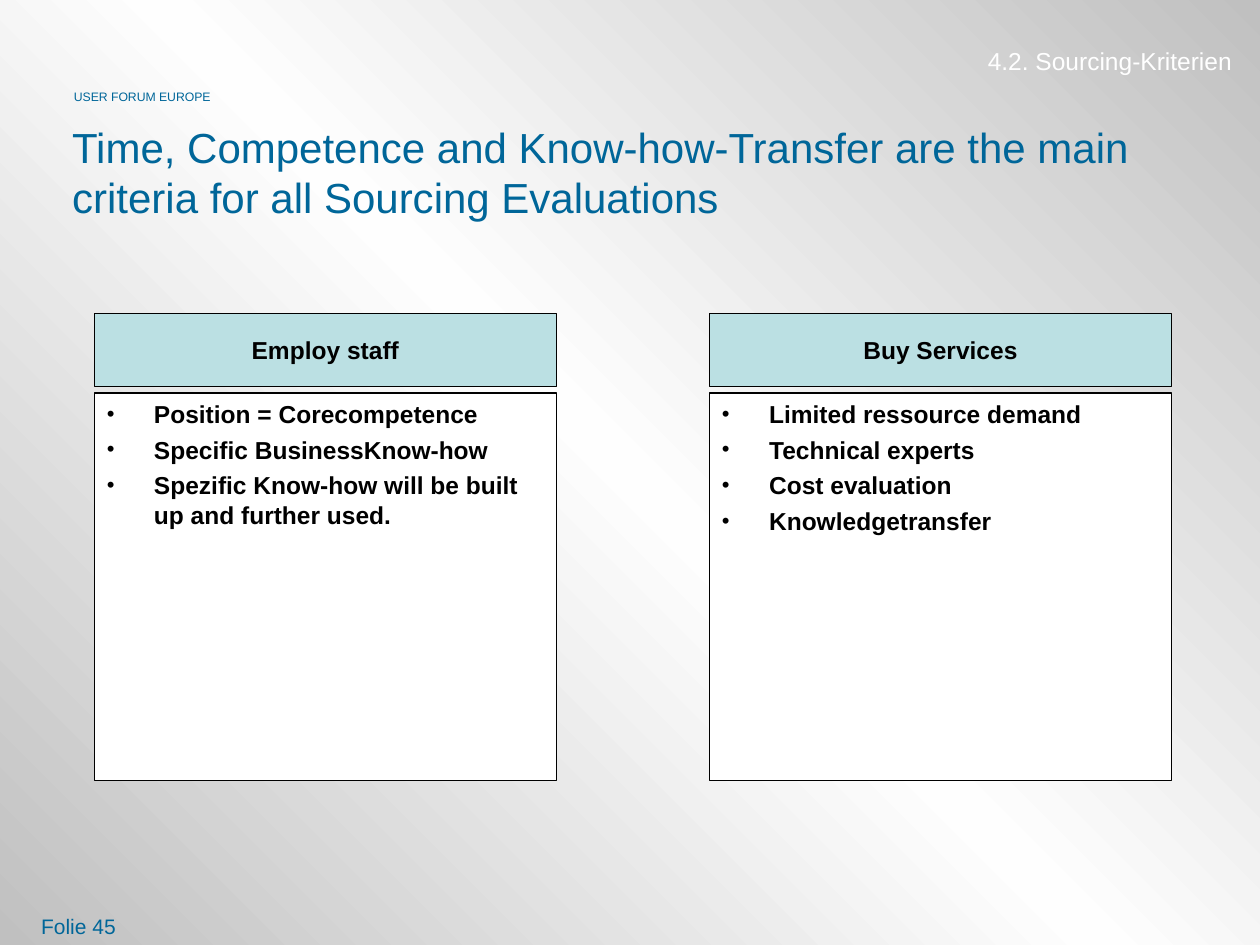
"""Build the slide that compares employing staff with buying services."""
import copy

import pptx
import pptx.dml.color
import pptx.enum.shapes
import pptx.enum.text
import pptx.oxml.ns
import pptx.util
from lxml import etree
from pptx.util import Cm

COLORS = {
    "accent": "006699",
    "heading": "BBE0E3",
    "ink": "000000",
    "paper": "FFFFFF",
    "edge": "C0C0C0",
    "glow": "FEFEFE",
}
ALIGN = pptx.enum.text.PP_ALIGN
ANCHOR = pptx.enum.text.MSO_ANCHOR
COLUMN_LEFT, COLUMN_STEP, COLUMN_WIDTH = 1.9, 12.4, 9.32
COLUMNS = [
    ("Employ staff", [
        "Position = Corecompetence",
        "Specific BusinessKnow-how",
        "Spezific Know-how will be built up and further used.",
    ]),
    ("Buy Services", [
        "Limited ressource demand",
        "Technical experts",
        "Cost evaluation",
        "Knowledgetransfer",
    ]),
]


def rgb(name):
    return pptx.dml.color.RGBColor.from_string(COLORS[name])


def place(shape, left, top, width, height):
    shape.left, shape.top = Cm(left), Cm(top)
    shape.width, shape.height = Cm(width), Cm(height)


def style(paragraph, size, color, align=ALIGN.LEFT, bold=False):
    paragraph.alignment = align
    font = paragraph.font
    font.name, font.size, font.bold = "Arial", pptx.util.Pt(size), bold
    font.color.rgb = rgb(color)


def outline(shape, fill):
    shape.fill.solid()
    shape.fill.fore_color.rgb = rgb(fill)
    shape.line.color.rgb = rgb("ink")
    shape.line.width = pptx.util.Pt(0.75)


def paint_background(slide):
    fill = slide.background.fill
    fill.gradient()
    fill.gradient_angle = 45
    stop_list = slide.element.find(".//" + pptx.oxml.ns.qn("a:gsLst"))
    stop_list.insert(1, copy.deepcopy(stop_list[0]))
    stops = zip(fill.gradient_stops, ("edge", "glow", "edge"), (0, 0.5, 1))
    for stop, color, position in stops:
        stop.color.rgb = rgb(color)
        stop.position = position


def add_title(slide, text):
    title = slide.shapes.title
    place(title, 1.2, 2.72, 22.86, 1.47)
    frame = title.text_frame
    frame.text = text
    frame.auto_size = pptx.enum.text.MSO_AUTO_SIZE.NONE
    frame.vertical_anchor = ANCHOR.MIDDLE
    style(frame.paragraphs[0], 24, "accent")


def add_label(slide, text, box, size, color, align=ALIGN.LEFT,
              anchor=ANCHOR.TOP, wrap=True):
    label = slide.shapes.add_textbox(*map(Cm, box))
    frame = label.text_frame
    frame.text = text
    frame.word_wrap = wrap
    frame.vertical_anchor = anchor
    style(frame.paragraphs[0], size, color, align)


def add_heading(slide, text, left):
    heading = slide.shapes.add_shape(
        pptx.enum.shapes.MSO_SHAPE.RECTANGLE,
        Cm(left), Cm(6.32), Cm(COLUMN_WIDTH), Cm(1.47))
    heading.shadow.inherit = False
    outline(heading, "heading")
    frame = heading.text_frame
    frame.text = text
    frame.vertical_anchor = ANCHOR.MIDDLE
    style(frame.paragraphs[0], 14, "ink", ALIGN.CENTER, bold=True)


def add_bullet(paragraph):
    properties = paragraph._p.get_or_add_pPr()
    properties.set("marL", str(Cm(0.95)))
    properties.set("indent", str(-Cm(0.95)))
    qn = pptx.oxml.ns.qn
    color = etree.SubElement(properties, qn("a:buClr"))
    etree.SubElement(color, qn("a:srgbClr"), val=COLORS["ink"])
    etree.SubElement(properties, qn("a:buSzPct"), val="90000")
    etree.SubElement(properties, qn("a:buChar"), char="•")


def fill_criteria(panel, criteria, left):
    place(panel, left, 7.92, COLUMN_WIDTH, 7.82)
    outline(panel, "paper")
    frame = panel.text_frame
    frame.text = "\n".join(criteria)
    frame.auto_size = pptx.enum.text.MSO_AUTO_SIZE.NONE
    for index, paragraph in enumerate(frame.paragraphs):
        add_bullet(paragraph)
        paragraph.space_before = pptx.util.Pt(3.5 if index else 0)
        style(paragraph, 14, "ink", bold=True)


def main():
    presentation = pptx.Presentation()
    presentation.slide_width, presentation.slide_height = Cm(25.4), Cm(19.05)
    slide = presentation.slides.add_slide(presentation.slide_layouts[3])
    paint_background(slide)
    add_label(slide, "USER FORUM EUROPE", (1.24, 1.68, 3.3, 0.56), 7,
              "accent", wrap=False)
    add_label(slide, "Folie 45", (0.58, 17.73, 5.92, 1.32), 12, "accent",
              anchor=ANCHOR.BOTTOM)
    add_label(slide, "4.2. Sourcing-Kriterien", (8.05, 0.81, 17.04, 1.32), 14,
              "paper", align=ALIGN.RIGHT)
    add_title(slide, "Time, Competence and Know-how-Transfer are the main "
                     "criteria for all Sourcing Evaluations")
    for index, (heading, criteria) in enumerate(COLUMNS):
        left = COLUMN_LEFT + index * COLUMN_STEP
        add_heading(slide, heading, left)
        fill_criteria(slide.placeholders[index + 1], criteria, left)
    presentation.save("out.pptx")


if __name__ == "__main__":
    main()
